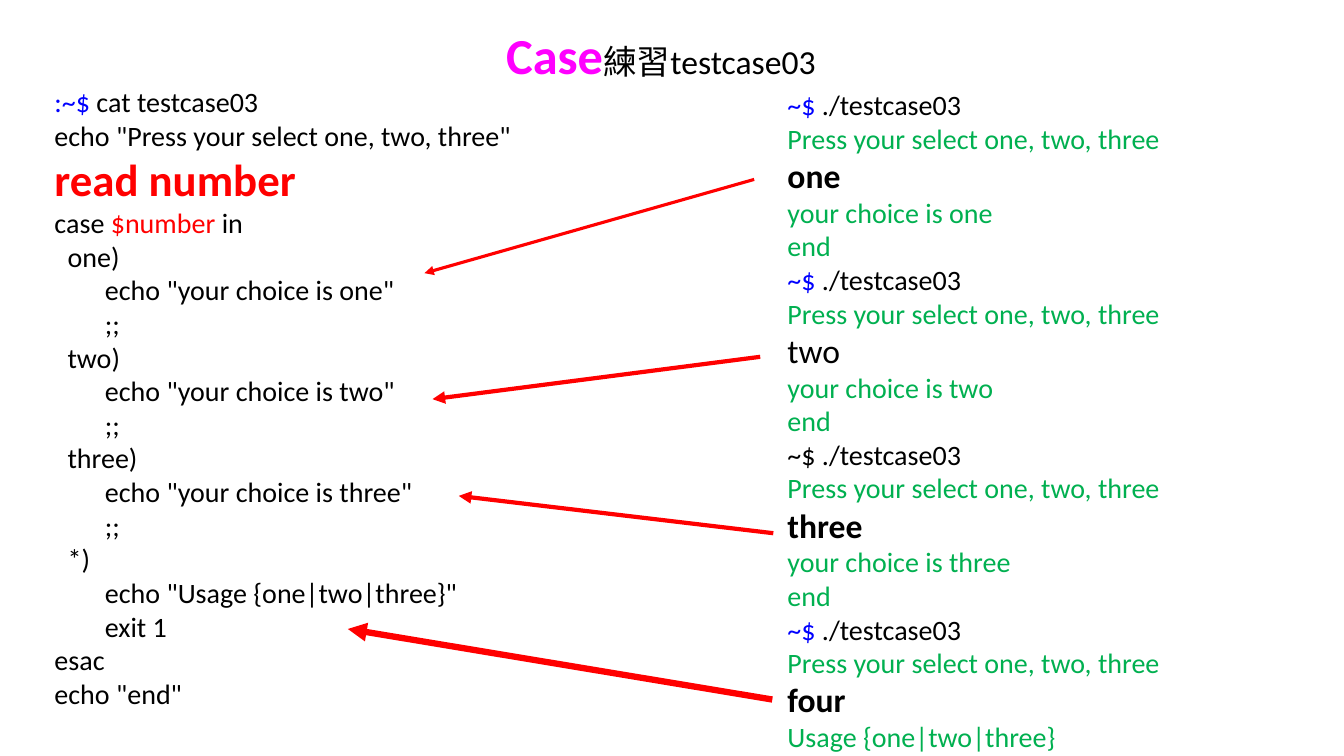
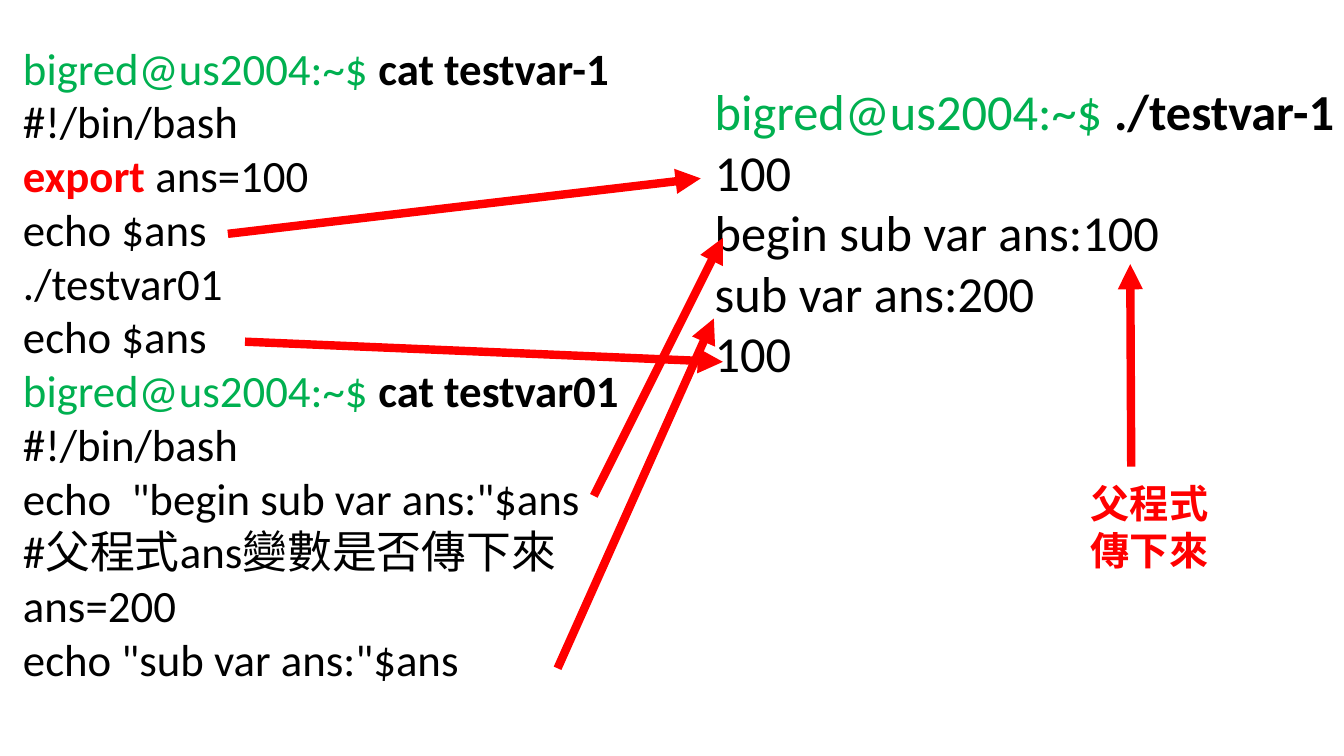
from pptx import Presentation
from pptx.dml.color import RGBColor
from pptx.enum.shapes import MSO_CONNECTOR as Link
from pptx.enum.text import MSO_ANCHOR as Anchor, MSO_AUTO_SIZE as Auto, PP_ALIGN as Align
from pptx.oxml.ns import qn
from pptx.util import Inches, Pt
from lxml.etree import SubElement

rgb = RGBColor.from_string
BLACK, RED, BLUE, GREEN, PINK = "000000", "FF0000", "0000FF", "00B050", "FF00FF"
FONT = "Calibri"


def write(shape, spot, lines, size, pad=0.1, wrap=False):
    shape.left, shape.top, shape.width, shape.height = map(Inches, spot)
    frame = shape.text_frame
    form = {
        "word_wrap": wrap,
        "auto_size": Auto.SHAPE_TO_FIT_TEXT,
        "vertical_anchor": Anchor.TOP,
        "margin_left": Inches(pad),
        "margin_right": Inches(pad),
        "margin_top": Inches(min(pad, 0.05)),
        "margin_bottom": Inches(min(pad, 0.05)),
    }
    for key, value in form.items():
        setattr(frame, key, value)
    for row, (indent, runs) in enumerate(lines):
        para = frame.add_paragraph() if row else frame.paragraphs[0]
        para.alignment = Align.LEFT
        if indent:
            para._p.get_or_add_pPr().set("marL", str(Inches(indent)))
        for text, color, *look in runs:
            run = para.add_run()
            run.text = text
            style = {"name": FONT, "size": Pt(size), "bold": False, **(look[0] if look else {})}
            for key, value in style.items():
                setattr(run.font, key, value)
            run.font.color.rgb = rgb(color)


def arrow(slide, start, end, width):
    line = slide.shapes.add_connector(Link.STRAIGHT, *map(Inches, start + end))
    line.line.color.rgb = rgb(RED)
    line.line.width = Pt(width)
    SubElement(line.line._get_or_add_ln(), qn("a:tailEnd"), type="triangle")
    SubElement(line._element.spPr, qn("a:effectLst"))


deck = Presentation()
deck.slide_width, deck.slide_height = Inches(13.33), Inches(7.5)
bold = {"bold": True}
large = {"size": Pt(24)}

# Case
slide = deck.slides.add_slide(deck.slide_layouts[5])
head = [("Case", PINK, {"size": Pt(36), "bold": True}), ("練習testcase03", BLACK)]
write(slide.shapes.title, (4.92, 0.19, 3.3, 0.71), [(0, head)], 24, wrap=True)

step, deep = 0.13, 0.5
code = [
    (0, [(":~$ ", BLUE), ("cat testcase03", BLACK)]),
    (0, [('echo "Press your select one, two, three"', BLACK)]),
    (0, [("read number", RED, {"size": Pt(32), "bold": True})]),
    (0, [("case", BLACK), (" $number ", RED), ("in", BLACK)]),
]
for word in ("one", "two", "three"):
    code += [
        (step, [(f"{word})", BLACK)]),
        (deep, [(f'echo "your choice is {word}"', BLACK)]),
        (deep, [(";;", BLACK)]),
    ]
for indent, text in (
    (step, "*)"),
    (deep, 'echo "Usage {one|two|three}"'),
    (deep, "exit 1"),
    (0, "esac"),
    (0, 'echo "end"'),
):
    code.append((indent, [(text, BLACK)]))
box = slide.shapes.add_textbox(0, 0, 0, 0)
write(box, (0.5, 0.8, 4.65, 6.3), code, 20, 0.04)

tests = []
for word, color, heavy, reply in (
    ("one", BLUE, True, ["your choice is one", "end"]),
    ("two", BLUE, False, ["your choice is two", "end"]),
    ("three", BLACK, True, ["your choice is three", "end"]),
    ("four", BLUE, True, ["Usage {one|two|three}"]),
):
    tests += [
        (0, [("~$", color), (" ./testcase03", BLACK)]),
        (0, [("Press your select one, two, three", GREEN)]),
        (0, [(word, BLACK, {**large, "bold": heavy})]),
    ]
    tests += [(0, [(text, GREEN)]) for text in reply]
box = slide.shapes.add_textbox(0, 0, 0, 0)
write(box, (7.77, 0.83, 4.75, 7.08), tests, 20, 0.04, True)

for start, end, width in (
    ((7.48, 1.78), (4.21, 2.71), 2.25),
    ((7.54, 3.54), (4.29, 3.96), 3),
    ((7.67, 5.29), (4.55, 4.92), 3),
    ((7.66, 6.94), (3.45, 6.24), 4.5),
):
    arrow(slide, start, end, width)

slide = deck.slides.add_slide(deck.slide_layouts[6])
prompt = ("bigred@us2004:~$ ", GREEN)
code = [
    [prompt, ("cat testvar-1", BLACK, bold)],
    [("#!/bin/bash", BLACK)],
    [("export ", RED, bold), ("ans=100", BLACK)],
    [("echo $ans", BLACK)],
    [("./testvar01", BLACK)],
    [("echo $ans", BLACK)],
    [prompt, ("cat testvar01", BLACK, bold)],
    [("#!/bin/bash", BLACK)],
    [('echo  "begin sub var ans:"$ans', BLACK)],
    [("#父程式ans變數是否傳下來", BLACK)],
    [("ans=200", BLACK)],
    [('echo "sub var ans:"$ans', BLACK)],
]
result = [[prompt, ("./testvar-1", BLACK, bold)]]
for text in ("100", "begin sub var ans:100", "sub var ans:200", "100"):
    result.append([(text, BLACK)])
label = [[(text, RED, bold)] for text in ("父程式", "傳下來")]
for spot, rows, size, wrap in (
    ((0.13, 0.35, 6.67, 6.56), code, 32, True),
    ((6.99, 0.75, 6.41, 3.13), result, 36, False),
    ((10.72, 4.71, 1.38, 1.04), label, 28, False),
):
    box = slide.shapes.add_textbox(0, 0, 0, 0)
    write(box, spot, [(0, runs) for runs in rows], size, wrap=wrap)

for start, end in (
    ((2.26, 2.32), (6.95, 1.77)),
    ((5.89, 4.92), (7.17, 2.36)),
    ((5.53, 6.63), (7.08, 3.16)),
    ((11.22, 4.63), (11.21, 2.62)),
    ((2.43, 3.39), (7.17, 3.59)),
):
    arrow(slide, start, end, 6)

deck.save("out.pptx")
